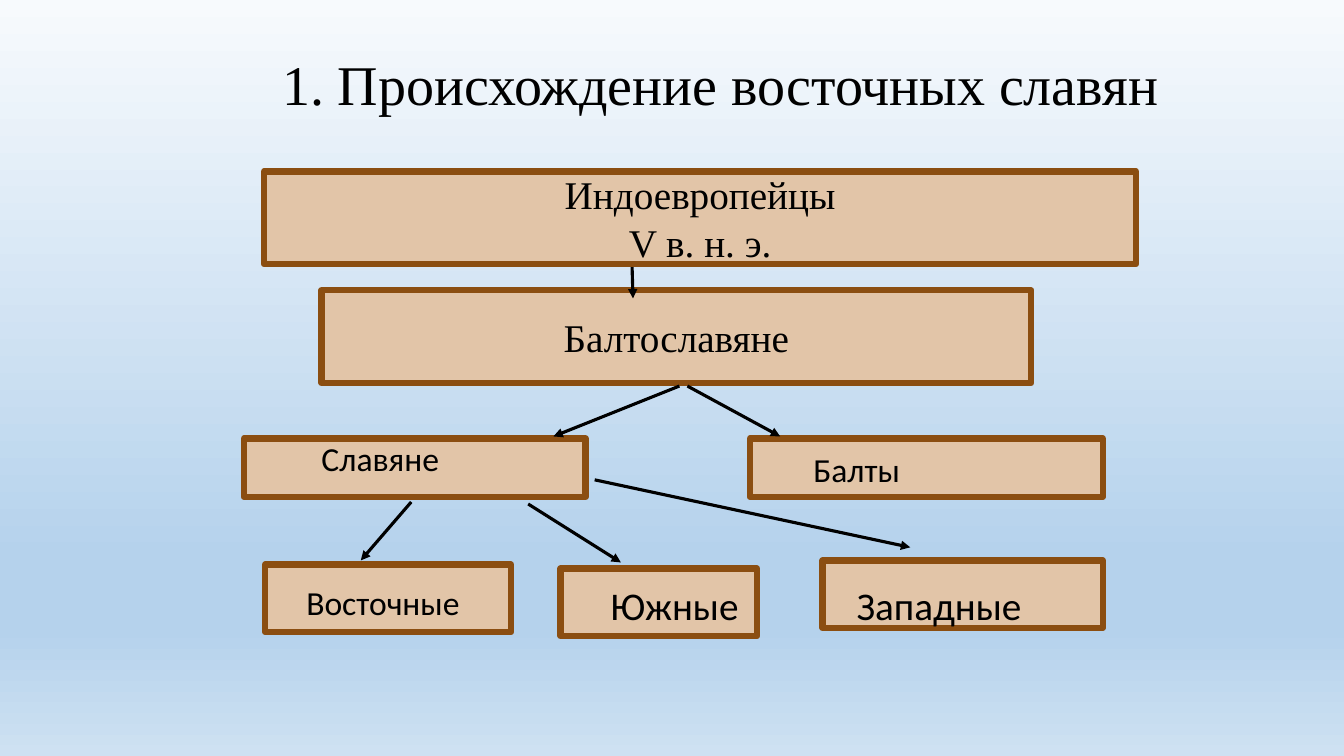
import pptx
import pptx.util
import pptx.dml.color
import pptx.enum.shapes
import pptx.enum.text
import pptx.oxml
import pptx.oxml.ns

INK = "000000"
SERIF, SANS = "Times New Roman", "Calibri"

deck = pptx.Presentation()
deck.slide_width = pptx.util.Inches(13.333)
deck.slide_height = pptx.util.Inches(7.5)
slide = deck.slides.add_slide(deck.slide_layouts[6])


def rgb(code):
    return pptx.dml.color.RGBColor.from_string(code)


def share(*percents):
    """Turn alternating x, y percentages of the slide into lengths."""
    sides = (deck.slide_width, deck.slide_height) * 2
    return [int(side * percent / 100) for side, percent in zip(sides, percents)]


# Sky gradient, running downwards
sky = slide.background.fill
sky.gradient()
sky.gradient_angle = 270
stops = slide.background._cSld.find(".//" + pptx.oxml.ns.qn("a:gsLst"))
for stop in list(stops):
    stops.remove(stop)
for percent, colour in [(0, "F7FAFD"), (74, "B5D2EC"), (83, "B5D2EC"), (100, "CEE1F2")]:
    stops.append(pptx.oxml.parse_xml(
        f'<a:gs {pptx.oxml.ns.nsdecls("a")} pos="{percent * 1000}">'
        f'<a:srgbClr val="{colour}"/></a:gs>'))

# Boxes of the family tree: left, top, width, height, lines of text
peoples = [
    (19.65, 22.67, 64.88, 12.27, ["Индоевропейцы", "V в. н. э."]),
    (23.93, 38.4, 52.8, 12.27, ["Балтославяне"]),
    (18.15, 58, 25.43, 7.73, []),
    (55.8, 58, 26.25, 7.73, []),
    (19.73, 74.67, 18.3, 8.93, []),
    (41.7, 75.2, 14.63, 8.93, []),
    (61.2, 74.13, 20.85, 8.93, []),
]
for *place, lines in peoples:
    people = slide.shapes.add_shape(
        pptx.enum.shapes.MSO_SHAPE.RECTANGLE, *share(*place))
    people.shadow.inherit = False
    people.fill.solid()
    people.fill.fore_color.rgb = rgb("E2C5A8")
    people.line.color.rgb = rgb("8B4E11")
    people.line.width = pptx.util.Pt(4.5)
    if lines:
        frame = people.text_frame
        frame.text = "\n".join(lines)
        frame.word_wrap = False
        frame.vertical_anchor = pptx.enum.text.MSO_ANCHOR.MIDDLE
        for paragraph in frame.paragraphs:
            paragraph.alignment = pptx.enum.text.PP_ALIGN.CENTER
            paragraph.font.name = SERIF
            paragraph.font.size = pptx.util.Pt(28)
            paragraph.font.color.rgb = rgb(INK)

# Arrows of descent: start x, y, end x, y
descents = [
    (47.03, 35.33, 47.1, 39.47),
    (50.55, 51.07, 41.18, 57.73),
    (51.15, 51.07, 58.05, 57.73),
    (39.3, 66.67, 46.2, 74.4),
    (30.6, 66.4, 26.85, 74.13),
    (44.25, 63.47, 67.73, 72.4),
]
for ends in descents:
    descent = slide.shapes.add_connector(
        pptx.enum.shapes.MSO_CONNECTOR.STRAIGHT, *share(*ends))
    descent.line.color.rgb = rgb(INK)
    descent.line.width = pptx.util.Pt(2.25)
    descent.line._get_or_add_ln().append(pptx.oxml.parse_xml(
        f'<a:tailEnd {pptx.oxml.ns.nsdecls("a")} type="triangle"/>'))
    descent._element.spPr.append(pptx.oxml.parse_xml(
        f'<a:effectLst {pptx.oxml.ns.nsdecls("a")}/>'))

# Branch names and title: left, top, width, height, text, size, font, wrap, alignment
LEFT, CENTER = pptx.enum.text.PP_ALIGN.LEFT, pptx.enum.text.PP_ALIGN.CENTER
labels = [
    (23.18, 57.33, 16.05, 6.67, "Славяне", 24, SANS, True, LEFT),
    (59.78, 58.67, 8.4, 6.67, "Балты", 24, SANS, True, LEFT),
    (22.05, 76.27, 14.85, 6.67, "Восточные", 24, SANS, True, LEFT),
    (44.7, 76.27, 11.1, 7.6, "Южные", 28, SANS, False, LEFT),
    (63, 76.27, 19.05, 7.6, "Западные", 28, SANS, True, LEFT),
    (9.38, 5.87, 88.43, 10.27, "1. Происхождение восточных славян", 40, SERIF, True, CENTER),
]
for *place, text, size, font, wrap, alignment in labels:
    frame = slide.shapes.add_textbox(*share(*place)).text_frame
    frame.word_wrap = wrap
    frame.auto_size = pptx.enum.text.MSO_AUTO_SIZE.SHAPE_TO_FIT_TEXT
    paragraph = frame.paragraphs[0]
    paragraph.text = text
    paragraph.alignment = alignment
    paragraph.font.name = font
    paragraph.font.size = pptx.util.Pt(size)
    paragraph.font.color.rgb = rgb(INK)

deck.save("out.pptx")
